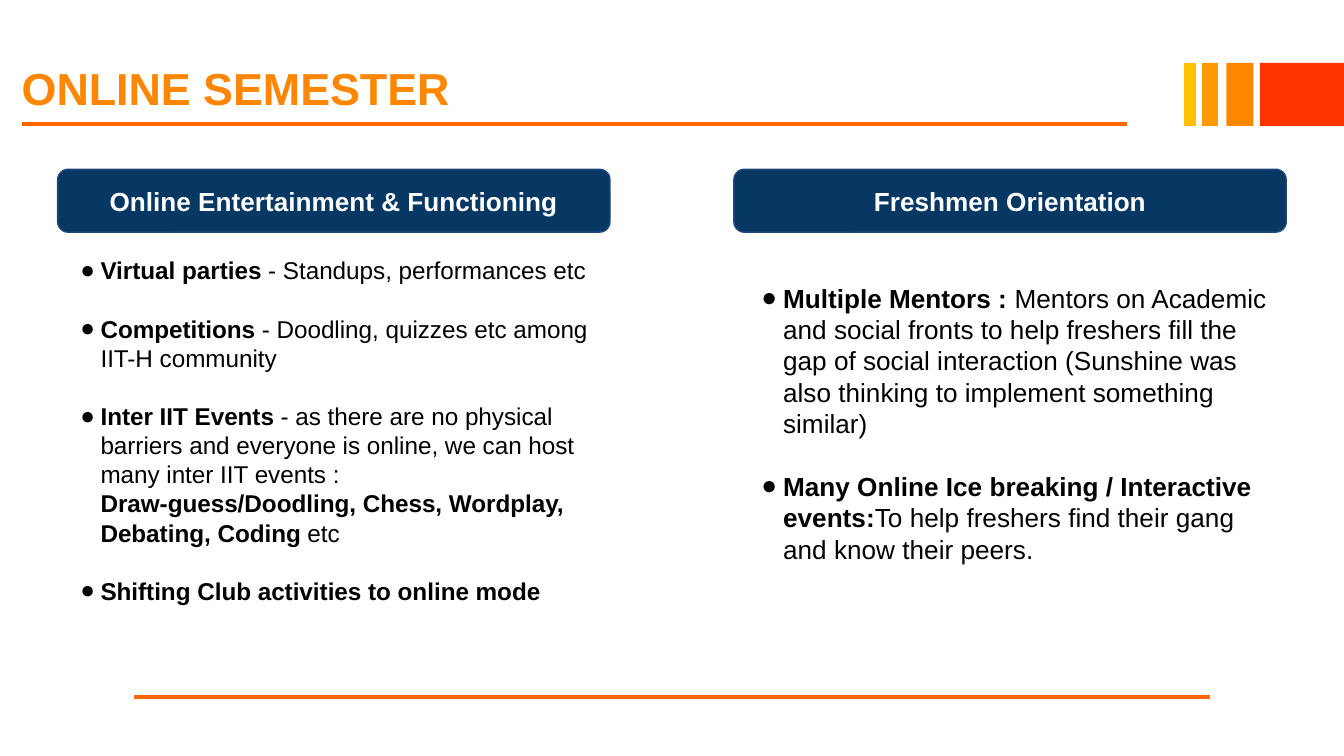
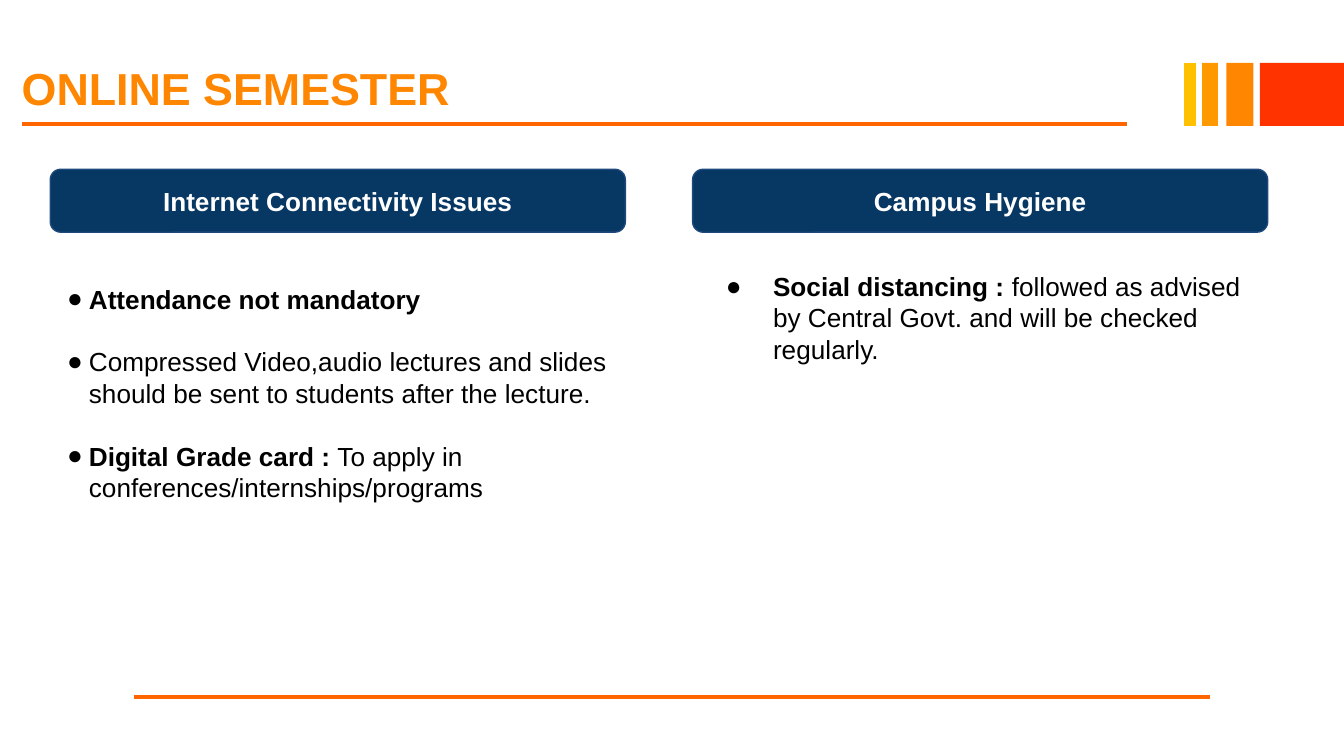
from lxml.etree import SubElement
from pptx import Presentation
from pptx.dml.color import RGBColor
from pptx.enum.shapes import MSO_CONNECTOR as Link, MSO_SHAPE as Preset
from pptx.enum.text import MSO_ANCHOR as Anchor, MSO_AUTO_SIZE as Fit, PP_ALIGN as Align
from pptx.oxml.ns import qn
from pptx.util import Cm, Pt

COLORS = {
    "title": "FF8600", "rule": "FF6600", "yellow": "FFC000", "amber": "FF9900",
    "orange": "FF8600", "red": "FF3300", "navy": "073763", "edge": "1F497D",
    "white": "FFFFFF", "black": "000000",
}
FONT = "Arial"
LINE_HEIGHT = 1.2
HEADER_TOP, HEADER_HEIGHT = 3.2, 1.19


def color(name):
    return RGBColor.from_string(COLORS[name])


def place(shape, box):
    shape.left, shape.top, shape.width, shape.height = map(Cm, box)


def write(frame, paragraphs, size, ink="black", align=Align.LEFT, anchor=Anchor.TOP,
          insets=(0.25, 0.25, 0.25, 0.25), gap=0, hang=None):
    frame.word_wrap = True
    frame.auto_size = Fit.NONE
    frame.vertical_anchor = anchor
    (frame.margin_left, frame.margin_top,
     frame.margin_right, frame.margin_bottom) = map(Cm, insets)
    for number, runs in enumerate(paragraphs):
        paragraph = frame.add_paragraph() if number else frame.paragraphs[0]
        paragraph.alignment = align
        paragraph.space_before = Pt(gap if number else 0)
        for words, bold in runs:
            run = paragraph.add_run()
            run.text = words
            run.font.name, run.font.size, run.font.bold = FONT, Pt(size), bold
            run.font.color.rgb = color(ink)
        if hang:
            add_bullet(paragraph, *hang)


def add_bullet(paragraph, margin, hanging):
    properties = paragraph._p.get_or_add_pPr()
    properties.set("marL", str(Cm(margin)))
    properties.set("indent", str(-Cm(hanging)))
    SubElement(properties, qn("a:buChar")).set("char", "●")


def add_block(slide, preset, box, fill, edge=None):
    block = slide.shapes.add_shape(preset, *map(Cm, box))
    block.shadow.inherit = False
    block.fill.solid()
    block.fill.fore_color.rgb = color(fill)
    if edge:
        block.line.color.rgb = color(edge)
        block.line.width = Pt(0.75)
    else:
        block.line.fill.background()
    return block


def add_line(slide, start, end, ink, width):
    line = slide.shapes.add_connector(Link.STRAIGHT, *map(Cm, start + end))
    line.line.color.rgb = color(ink)
    line.line.width = Pt(width)
    SubElement(line._element.spPr, qn("a:effectLst"))


def add_stripes(slide, box):
    left, top, width, height = box
    add_line(slide, (left + 0.11, top), (left + 0.11, top + height), "yellow", 6.72)
    for offset, stripe, fill in ((0.34, 0.3, "amber"), (0.8, 0.51, "orange"),
                                 (1.43, width - 1.43, "red")):
        add_block(slide, Preset.RECTANGLE, (left + offset, top, stripe, height), fill)


def add_frame(slide, title):
    place(slide.shapes.title, (0.38, 1.12, 25.02, 1.19))
    write(slide.shapes.title.text_frame, [[(title, True)]], size=24, ink="title",
          insets=(0.03, 0.03, 0, 0))
    add_line(slide, (0.42, 2.35), (21.3, 2.35), "rule", 2)
    add_line(slide, (2.54, 13.18), (22.86, 13.18), "rule", 2)
    add_stripes(slide, (22.38, 1.19, 3.02, 1.19))


def add_column(slide, body, left, width, heading, points, drop, inset=0,
               height=5.87, size=14, hang=(0.48, 0.41)):
    header = add_block(slide, Preset.ROUNDED_RECTANGLE,
                       (left, HEADER_TOP, width, HEADER_HEIGHT), "navy", "edge")
    write(header.text_frame, [[(heading, True)]], size=14, ink="white",
          align=Align.CENTER, anchor=Anchor.MIDDLE)
    place(body, (left + inset, HEADER_TOP + drop, width - inset, height))
    write(body.text_frame, points, size=size, gap=size * LINE_HEIGHT, hang=hang)


def add_slide(deck, title, left_edges, width, columns):
    slide = deck.slides.add_slide(deck.slide_layouts[3])
    add_frame(slide, title)
    bodies = [slide.placeholders[1], slide.placeholders[2]]
    for body, left, column in zip(bodies, left_edges, columns):
        add_column(slide, body, left, width, **column)


entertainment = dict(
    heading="Online Entertainment & Functioning", drop=1.38, inset=0.08,
    height=6.76, size=13, hang=(0.48, 0.38),
    points=[
        [("Virtual parties", True), (" - Standups, performances etc", False)],
        [("Competitions", True),
         (" - Doodling, quizzes etc among IIT-H community", False)],
        [("Inter IIT Events", True),
         (" - as there are no physical barriers and everyone is online, "
          "we can host many inter IIT events : ", False),
         ("Draw-guess/Doodling, Chess, Wordplay, Debating, Coding ", True),
         ("etc", False)],
        [("Shifting Club activities to online mode", True)],
    ])
orientation = dict(
    heading="Freshmen Orientation", drop=1.88, inset=0.2,
    points=[
        [("Multiple Mentors : ", True),
         ("Mentors on Academic and social fronts to help freshers fill the gap of "
          "social interaction (Sunshine was also thinking to implement something "
          "similar)", False)],
        [("Many Online Ice breaking / Interactive events:", True),
         ("To help freshers find their gang and know their peers.", False)],
    ])
connectivity = dict(
    heading="Internet Connectivity Issues", drop=1.9,
    points=[
        [("Attendance not mandatory", True)],
        [("Compressed Video,audio lectures and slides should be sent to students "
          "after the lecture.", False)],
        [("Digital Grade card :", True),
         (" To apply in conferences/internships/programs", False)],
    ])
hygiene = dict(
    heading="Campus Hygiene", drop=1.66, hang=(1.27, 0.89),
    points=[
        [("Social distancing :", True),
         (" followed as advised by Central Govt. and will be checked regularly.",
          False)],
    ])

deck = Presentation()
deck.slide_width, deck.slide_height = Cm(25.4), Cm(14.29)
add_slide(deck, "ONLINE SEMESTER", (1.09, 13.87), 10.44, (entertainment, orientation))
add_slide(deck, "ONLINE SEMESTER", (0.95, 13.09), 10.87, (connectivity, hygiene))
deck.save("out.pptx")
